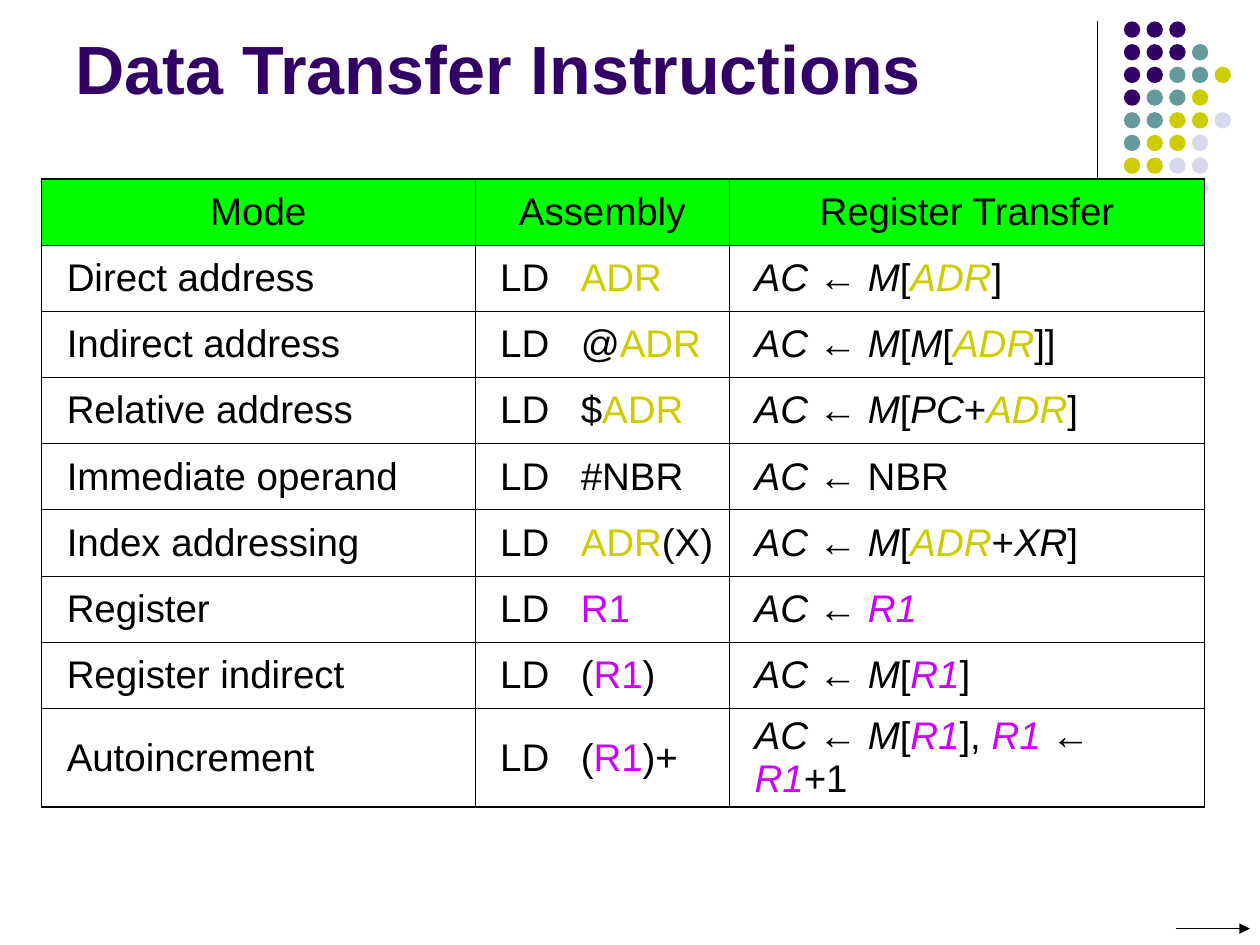
from dataclasses import dataclass
from itertools import groupby

from lxml.etree import SubElement
from pptx import Presentation
from pptx.dml.color import RGBColor
from pptx.enum.shapes import MSO_CONNECTOR, MSO_SHAPE
from pptx.enum.text import MSO_ANCHOR, MSO_AUTO_SIZE, PP_ALIGN
from pptx.oxml.ns import qn
from pptx.util import Inches, Pt


@dataclass(frozen=True)
class Theme:
    """Colours, font and sizes in one place."""
    font: str = "Arial"
    ink: str = "000000"
    plum: str = "330066"
    teal: str = "669999"
    gold: str = "CCCC00"
    pale: str = "D8D8EC"
    pink: str = "CC00FF"
    green: str = "00FF00"
    head: float = 39
    body: float = 22
    gap: float = 5.5
    rule: float = 0.75
    thin: float = 0.45
    thick: float = 1.08


DOTS = ["PPP", "PPPT", "PPTTY", "PTTY", "TTYYL", "TYYL", "YYLL", "   L"]
WIDTHS = [3.44, 2.02, 3.77]
ROWS = [
    ("Mode", "Assembly", "Register Transfer"),
    ("Direct address", "LD\tADR", "AC ← M[ADR]"),
    ("Indirect address", "LD\t@ADR", "AC ← M[M[ADR]]"),
    ("Relative address", "LD\t$ADR", "AC ← M[PC+ADR]"),
    ("Immediate operand", "LD\t#NBR", "AC ← NBR"),
    ("Index addressing", "LD\tADR(X)", "AC ← M[ADR+XR]"),
    ("Register", "LD\tR1", "AC ← R1"),
    ("Register indirect", "LD\t(R1)", "AC ← M[R1]"),
    ("Autoincrement", "LD\t(R1)+", "AC ← M[R1], R1 ← R1+1"),
]


def put(item, **values):
    """Set each named attribute on an item."""
    for name, value in values.items():
        setattr(item, name, value)


def rgb(code):
    """Turn a hex code into a colour."""
    return RGBColor.from_string(code)


class Painter:
    """Holds the theme and the current slide."""

    def __init__(self, theme, slide):
        self.theme, self.slide = theme, slide

    def run(self, para, text, size, code, **style):
        """Add one styled run."""
        part = para.add_run()
        part.text = text
        put(part.font, name=self.theme.font, size=Pt(size), **style)
        part.font.color.rgb = rgb(code)

    def title(self, text, left, top, width, height):
        """Place and fill the title."""
        box = self.slide.shapes.title
        put(box, left=Inches(left), top=Inches(top),
            width=Inches(width), height=Inches(height))
        put(box.text_frame, vertical_anchor=MSO_ANCHOR.BOTTOM,
            auto_size=MSO_AUTO_SIZE.NONE, word_wrap=True)
        para = box.text_frame.paragraphs[0]
        para.alignment = PP_ALIGN.LEFT
        self.run(para, text, self.theme.head, self.theme.plum, bold=True)

    def line(self, start, end, arrow=False):
        """Draw a straight line, with an arrowhead on request."""
        ends = [Inches(n) for n in (*start, *end)]
        link = self.slide.shapes.add_connector(MSO_CONNECTOR.STRAIGHT, *ends)
        link.line.color.rgb = rgb(self.theme.ink)
        link.line.width = Pt(self.theme.rule)
        if arrow:
            SubElement(link.line._get_or_add_ln(), qn("a:tailEnd"), type="triangle")
        SubElement(link._element.spPr, qn("a:effectLst"))

    def dots(self, left, top, step, size):
        """Draw the grid of dots as one group."""
        look = self.theme
        codes = {"P": look.plum, "T": look.teal, "Y": look.gold, "L": look.pale}
        group = self.slide.shapes.add_group_shape()
        for row, marks in enumerate(DOTS):
            for col, mark in enumerate(marks):
                if mark not in codes:
                    continue
                dot = group.shapes.add_shape(
                    MSO_SHAPE.OVAL, Inches(left + col * step),
                    Inches(top + row * step), Inches(size), Inches(size))
                dot.shadow.inherit = False
                dot.fill.solid()
                dot.fill.fore_color.rgb = rgb(codes[mark])
                dot.line.fill.background()

    def edges(self, cell, outer):
        """Draw cell borders, thick on the outer sides."""
        props = cell._tc.get_or_add_tcPr()
        for side in "LRTB":
            width = self.theme.thick if side in outer else self.theme.thin
            edge = SubElement(props, qn(f"a:ln{side}"), w=str(Pt(width)))
            fill = SubElement(edge, qn("a:solidFill"))
            SubElement(fill, qn("a:srgbClr"), val=self.theme.ink)

    def code(self, para, text, slant):
        """Write code with coloured operands and slanted names."""
        tints = {"ADR": self.theme.gold, "R1": self.theme.pink}
        for _, chars in groupby(text, str.isalnum):
            word = "".join(chars)
            name = word[0].isalpha() and word != "NBR"
            self.run(para, word, self.theme.body,
                     tints.get(word, self.theme.ink), italic=slant and name)

    def cell(self, cell, text, row, col):
        """Format and fill one table cell."""
        head = row == 0
        sides = {"L": col == 0, "R": col == len(WIDTHS) - 1,
                 "T": head, "B": row == len(ROWS) - 1}
        self.edges(cell, [side for side, on in sides.items() if on])
        if head:
            cell.fill.solid()
            cell.fill.fore_color.rgb = rgb(self.theme.green)
        else:
            cell.fill.background()
        put(cell, vertical_anchor=MSO_ANCHOR.MIDDLE,
            margin_left=Inches(0.1 if head else 0.2))
        para = cell.text_frame.paragraphs[0]
        put(para, space_before=Pt(self.theme.gap),
            alignment=PP_ALIGN.CENTER if head else PP_ALIGN.LEFT)
        if head or col == 0:
            self.run(para, text, self.theme.body, self.theme.ink)
            return
        if "\t" in text:
            tabs = SubElement(para._p.get_or_add_pPr(), qn("a:tabLst"))
            SubElement(tabs, qn("a:tab"), pos=str(Inches(0.64)), algn="l")
        self.code(para, text, slant=col == 2)

    def table(self, left, top, height):
        """Build the table of modes."""
        frame = self.slide.shapes.add_table(
            len(ROWS), len(WIDTHS), Inches(left), Inches(top),
            Inches(sum(WIDTHS)), Inches(height))
        grid = frame.table
        put(grid, first_row=False, horz_banding=False)
        for col, width in zip(grid.columns, WIDTHS):
            col.width = Inches(width)
        for row, texts in enumerate(ROWS):
            for col, text in enumerate(texts):
                self.cell(grid.cell(row, col), text, row, col)


def main():
    """Build and save the slide."""
    deck = Presentation()
    put(deck, slide_width=Inches(10), slide_height=Inches(7.5))
    pen = Painter(Theme(), deck.slides.add_slide(deck.slide_layouts[5]))
    pen.line((8.71, 0.17), (8.71, 1.83))
    pen.dots(8.92, 0.17, 0.18, 0.13)
    pen.title("Data Transfer Instructions", 0.5, 0.13, 8.25, 0.78)
    pen.table(0.33, 1.42, 4.73)
    pen.line((9.33, 7.37), (9.92, 7.37), arrow=True)
    deck.save("out.pptx")


if __name__ == "__main__":
    main()
